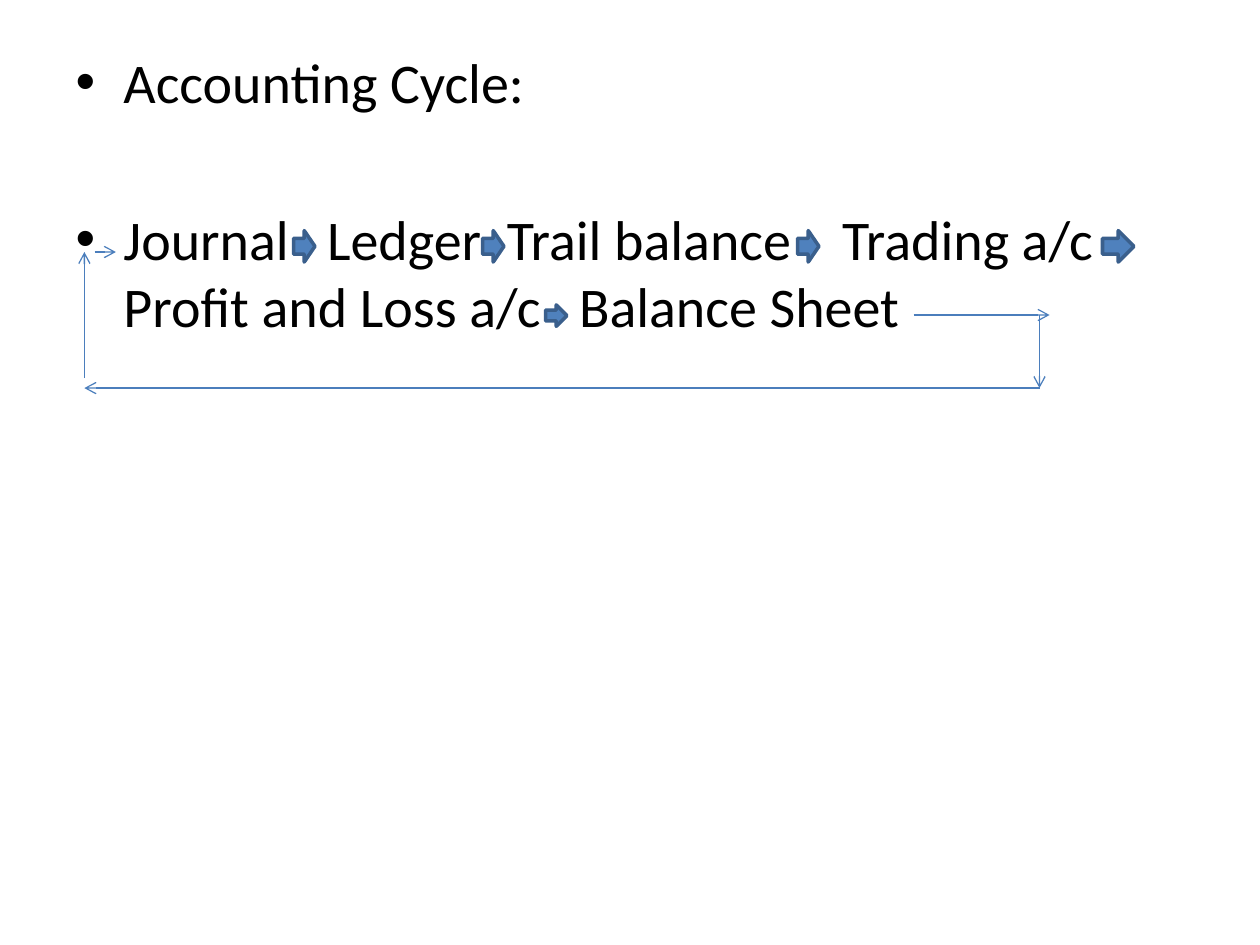
from lxml import etree
from pptx import Presentation
from pptx.dml.color import RGBColor
from pptx.enum.shapes import MSO_CONNECTOR, MSO_SHAPE
from pptx.oxml.ns import qn
from pptx.util import Inches, Pt

RIGHT_ARROW = MSO_SHAPE.RIGHT_ARROW
STRAIGHT = MSO_CONNECTOR.STRAIGHT
FONT, SIZE = "Calibri", 32
SPACE_WIDTH = 7.23  # points, one space at the body size

# Each step with the width of the gap after it, counted in spaces
STEPS = [("Journal", 3), ("Ledger", 2), ("Trail balance", 4),
         ("Trading a/c", 1), ("Profit and Loss a/c", 3), ("Balance Sheet", 0)]
STEP_ARROWS = [(2.33, 1.83, 0.17, 0.25), (3.83, 1.83, 0.17, 0.25),
               (6.33, 1.83, 0.17, 0.25), (8.75, 1.83, 0.25, 0.25),
               (4.33, 2.42, 0.17, 0.17)]
LOOP_LINES = [((7.25, 2.5), (8.33, 2.5)), ((8.25, 3.08), (0.67, 3.08)),
              ((0.67, 3), (0.67, 2)), ((0.75, 2), (0.92, 2)),
              ((8.25, 2.5), (8.25, 3.08))]


def rgb(value):
    return RGBColor.from_string(value)


def add_text(p, text, size=SIZE, color="000000", spacing=0):
    """Add a run; spacing is extra character spacing in points."""
    r = p.add_run()
    r.text = text
    r.font.name, r.font.size = FONT, Pt(size)
    r.font.color.rgb = rgb(color)
    if spacing:
        r._r.get_or_add_rPr().set("spc", str(round(spacing * 100)))


def format_bullet(p, before=0):
    pPr = p._p.get_or_add_pPr()
    pPr.set("marL", str(Inches(0.38)))
    pPr.set("indent", str(-Inches(0.38)))
    etree.SubElement(pPr, qn("a:buChar"), char="•")
    p.space_before = Pt(before)


def fill_body(body):
    body.left, body.top = Inches(0.5), Inches(0.33)
    body.width, body.height = Inches(9), Inches(6.37)
    tf = body.text_frame
    p = tf.paragraphs[0]
    format_bullet(p)
    add_text(p, "Accounting Cycle:")

    p = tf.add_paragraph()
    format_bullet(p, before=51)
    for step, gap in STEPS:
        add_text(p, step)
        if gap:
            add_text(p, " ", spacing=(gap - 1) * SPACE_WIDTH)


def add_step_arrow(s, left, top, width, height):
    sp = s.shapes.add_shape(RIGHT_ARROW, Inches(left), Inches(top),
                            Inches(width), Inches(height))
    sp.shadow.inherit = False
    sp.fill.solid()
    sp.fill.fore_color.rgb = rgb("4F81BD")
    sp.line.color.rgb = rgb("3A5F8C")
    sp.line.width = Pt(2)


def add_loop_line(s, start, end):
    line = s.shapes.add_connector(STRAIGHT, *map(Inches, start + end))
    line.line.color.rgb = rgb("4B7EBC")
    line.line.width = Pt(0.75)
    etree.SubElement(line.line._get_or_add_ln(), qn("a:tailEnd"), type="arrow")
    etree.SubElement(line._element.spPr, qn("a:effectLst"))


def main():
    prs = Presentation()
    prs.slide_width, prs.slide_height = Inches(10), Inches(7.5)
    s = prs.slides.add_slide(prs.slide_layouts[1])
    title = s.shapes.title._element
    title.getparent().remove(title)
    fill_body(s.placeholders[1])
    for box in STEP_ARROWS:
        add_step_arrow(s, *box)
    for start, end in LOOP_LINES:
        add_loop_line(s, start, end)
    prs.save("out.pptx")


if __name__ == "__main__":
    main()
